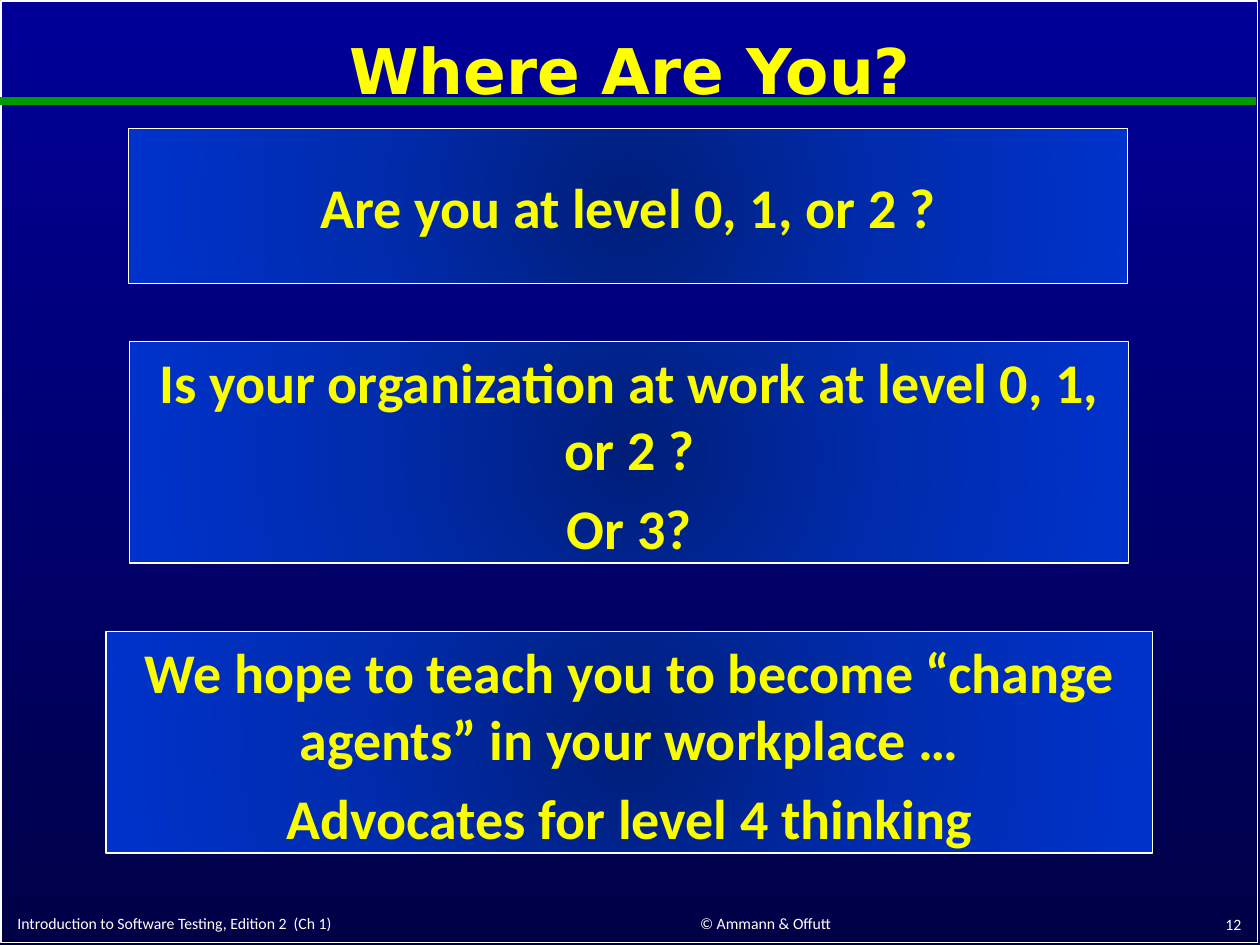
from lxml import etree
from pptx import Presentation
from pptx.dml.color import RGBColor
from pptx.enum.shapes import MSO_CONNECTOR, MSO_SHAPE
from pptx.enum.text import MSO_ANCHOR, PP_ALIGN
from pptx.oxml.ns import qn
from pptx.util import Inches, Pt

LEFT, CENTER, RIGHT = PP_ALIGN.LEFT, PP_ALIGN.CENTER, PP_ALIGN.RIGHT
TOP, MIDDLE, BOTTOM = MSO_ANCHOR.TOP, MSO_ANCHOR.MIDDLE, MSO_ANCHOR.BOTTOM
TITLE_ONLY = 5
WHITE, YELLOW, GREEN = "FFFFFF", "FAFD00", "009900"
PAGE_STOPS = [(0, "000099"), (100, "000047")]
PANEL_STOPS = [(0, "001E79"), (50, "002BAC"), (100, "0033CC")]

PANELS = [
    ((1.02, 1.02, 7.93, 1.23), MIDDLE, ["Are you at level 0, 1, or 2 ?"]),
    ((1.03, 2.71, 7.93, 1.76), TOP,
     ["Is your organization at work at level 0, 1, or 2 ?", "Or 3?"]),
    ((0.84, 5.01, 8.31, 1.76), TOP,
     ["We hope to teach you to become “change agents” in your workplace …",
      "Advocates for level 4 thinking"]),
]
FOOTERS = [
    ((0.04, 7.18, 4.2, 0.27), LEFT, "Introduction to Software Testing, Edition 2  (Ch 1)"),
    ((4.49, 7.17, 3.17, 0.28), CENTER, "© Ammann & Offutt"),
    ((7.87, 7.17, 2.08, 0.29), RIGHT, "12"),
]


def color(value):
    return RGBColor.from_string(value)


def inches(values):
    return [Inches(value) for value in values]


def set_gradient(fill, owner, stops, radial=False):
    """Fill with the stops, running downwards or outwards from the centre."""
    fill.gradient()
    gradient = next(owner.iter(qn("a:gradFill")))
    for child in list(gradient):
        gradient.remove(child)
    stop_list = etree.SubElement(gradient, qn("a:gsLst"))
    for percent, value in stops:
        stop = etree.SubElement(stop_list, qn("a:gs"), pos=str(percent * 1000))
        etree.SubElement(stop, qn("a:srgbClr"), val=value)
    if radial:
        track = etree.SubElement(gradient, qn("a:path"), path="circle")
        sides = dict.fromkeys("ltrb", "50000")
        etree.SubElement(track, qn("a:fillToRect"), **sides)
    else:
        etree.SubElement(gradient, qn("a:lin"), ang="5400000", scaled="0")


def write_text(frame, lines, size, value, align, anchor, font="Calibri", bold=False):
    frame.word_wrap = True
    frame.vertical_anchor = anchor
    frame.text = "\n".join(lines)
    for para in frame.paragraphs:
        para.alignment = align
        para.font.name = font
        para.font.size = Pt(size)
        para.font.bold = bold
        para.font.color.rgb = color(value)


def add_box(page, place, line_width):
    box = page.shapes.add_shape(MSO_SHAPE.RECTANGLE, *inches(place))
    box.shadow.inherit = False
    box.line.color.rgb = color(WHITE)
    box.line.width = Pt(line_width)
    return box


def add_title(page, text):
    title = page.shapes.title
    title.left, title.top, title.width, title.height = inches((0.05, 0.11, 9.9, 0.95))
    write_text(title.text_frame, [text], 36, "FFFF00", CENTER, MIDDLE, "DejaVu Sans", True)
    title.text_frame.paragraphs[0].line_spacing = 0.9


def add_rule(page):
    rule = page.shapes.add_connector(MSO_CONNECTOR.STRAIGHT, *inches((0, 0.8, 9.97, 0.8)))
    rule.line.color.rgb = color(GREEN)
    rule.line.width = Pt(4.5)
    etree.SubElement(rule._element.spPr, qn("a:effectLst"))


def add_panel(page, place, anchor, lines):
    panel = add_box(page, place, 0.75)
    set_gradient(panel.fill, panel._element, PANEL_STOPS, radial=True)
    write_text(panel.text_frame, lines, 32, YELLOW, CENTER, anchor, bold=True)
    for para in panel.text_frame.paragraphs:
        para.space_before = Pt(6.4)


def add_footer(page, place, align, text):
    box = page.shapes.add_textbox(*inches(place))
    write_text(box.text_frame, [text], 9, WHITE, align, BOTTOM)


def main():
    deck = Presentation()
    deck.slide_width, deck.slide_height = Inches(10), Inches(7.5)
    page = deck.slides.add_slide(deck.slide_layouts[TITLE_ONLY])
    set_gradient(page.background.fill, page._element, PAGE_STOPS)
    add_box(page, (0.01, 0.01, 9.97, 7.47), 1).fill.background()
    add_rule(page)
    add_title(page, "Where Are You?")
    for footer in FOOTERS:
        add_footer(page, *footer)
    for panel in PANELS:
        add_panel(page, *panel)
    deck.save("out.pptx")


if __name__ == "__main__":
    main()
